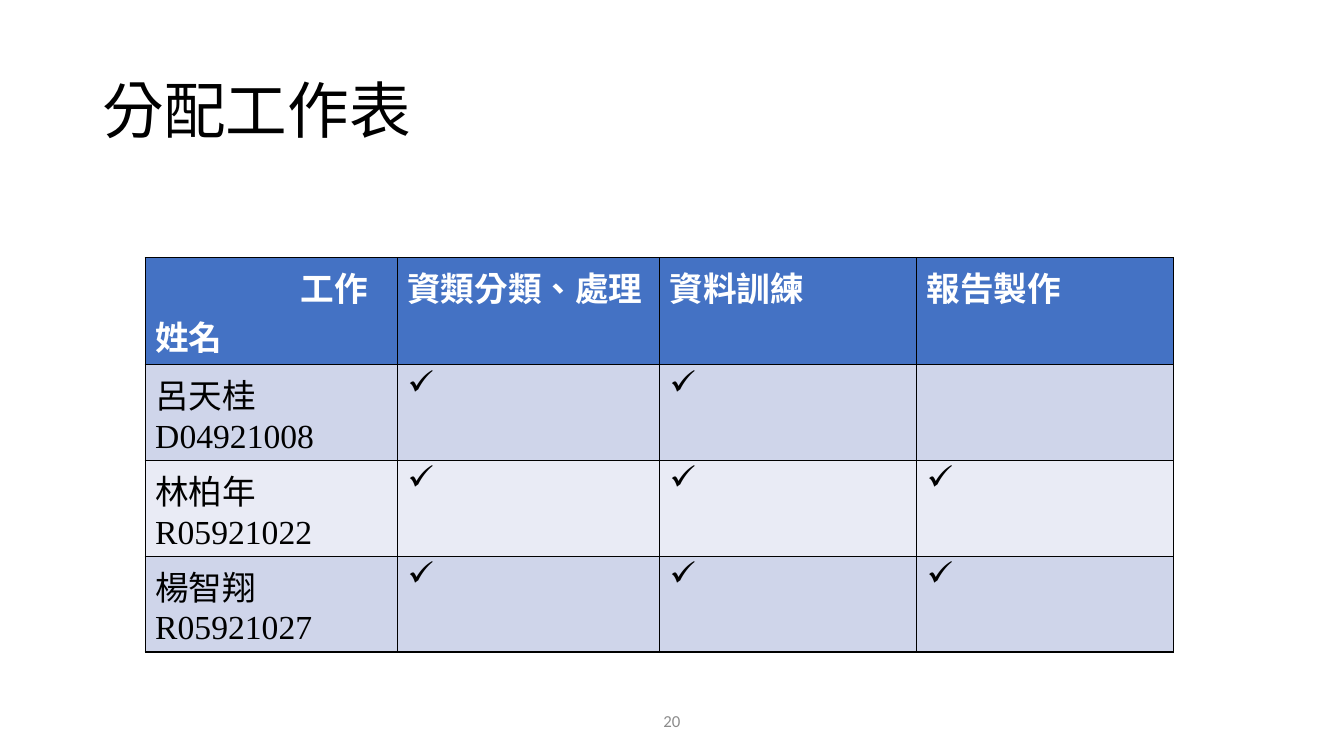
from lxml.etree import Element, SubElement
from pptx import Presentation
from pptx.dml.color import RGBColor
from pptx.enum.text import MSO_ANCHOR, PP_ALIGN
from pptx.oxml.ns import qn
from pptx.util import Inches, Pt

COLORS = {
    "ink": "000000",
    "page_number": "8C8C8C",
    "header_text": "FFFFFF",
    "header": "4472C4",
    "odd_row": "CFD5EA",
    "even_row": "E9EBF5",
}
CJK, LATIN, PLAIN = "Noto Sans CJK SC", "Times New Roman", "Calibri"
TASKS = ["資類分類、處理", "資料訓練", "報告製作"]
MEMBERS = [
    ("呂天桂D04921008", (True, True, False)),
    ("林柏年R05921022", (True, True, True)),
    ("楊智翔R05921027", (True, True, True)),
]


class SlideBuilder:
    """Draws on one slide; boxes are given as shares of the slide's size."""

    def __init__(self, width, height):
        self.deck = Presentation()
        self.deck.slide_width, self.deck.slide_height = Inches(width), Inches(height)
        self.slide = self.deck.slides.add_slide(self.deck.slide_layouts[6])

    def box(self, left, top, width, height):
        across, down = self.deck.slide_width, self.deck.slide_height
        return int(left * across), int(top * down), int(width * across), int(height * down)

    def style(self, paragraph, size, font, color, bold=False):
        face = paragraph.font
        face.size, face.name, face.bold = Pt(size), font, bold
        face.color.rgb = RGBColor.from_string(COLORS[color])
        face._element.set("lang", "zh-TW")
        east_asian = SubElement(face._element, qn("a:ea"))
        east_asian.set("typeface", CJK)

    def text(self, wording, share, size, font, color, align=PP_ALIGN.LEFT, spacing=1.0):
        frame = self.slide.shapes.add_textbox(*self.box(*share)).text_frame
        frame.word_wrap, frame.vertical_anchor = True, MSO_ANCHOR.MIDDLE
        paragraph = frame.paragraphs[0]
        paragraph.text, paragraph.alignment, paragraph.line_spacing = wording, align, spacing
        self.style(paragraph, size, font, color)

    def table(self, share, column_widths, row_heights):
        grid = self.slide.shapes.add_table(
            len(row_heights), len(column_widths), *self.box(*share)).table
        for column, width in zip(grid.columns, column_widths):
            column.width = Inches(width)
        for row, height in zip(grid.rows, row_heights):
            row.height = Inches(height)
        return grid

    def cell(self, cell, wording, fill, font=CJK, color="ink", bold=False):
        cell.text = wording
        for paragraph in cell.text_frame.paragraphs:
            self.style(paragraph, 24, font, color, bold)
        for side in ("a:lnL", "a:lnR", "a:lnT", "a:lnB"):
            border = SubElement(cell._tc.get_or_add_tcPr(), qn(side), w=str(Pt(1)))
            paint = SubElement(border, qn("a:solidFill"))
            SubElement(paint, qn("a:srgbClr"), val=COLORS["ink"])
        cell.fill.solid()
        cell.fill.fore_color.rgb = RGBColor.from_string(COLORS[fill])

    def tick(self, cell, fill):
        """Mark a cell with a check-mark bullet; Wingdings draws ü as the check."""
        self.cell(cell, " ", fill, LATIN)
        properties = cell.text_frame.paragraphs[0]._p.get_or_add_pPr()
        properties.set("marL", str(Inches(0.38)))
        properties.set("indent", str(-Inches(0.38)))
        properties.insert(0, Element(qn("a:buFont"), typeface="Wingdings", charset="2"))
        properties.insert(1, Element(qn("a:buChar"), char="ü"))


def main():
    builder = SlideBuilder(13.33, 7.5)
    builder.text("分配工作表", (0.069, 0.053, 0.863, 0.193), 44, CJK, "ink", spacing=0.9)
    builder.text("20", (0.33, 0.927, 0.34, 0.053), 12, PLAIN, "page_number", PP_ALIGN.CENTER)

    duties = builder.table((0.108, 0.341, 0.765, 0.523), (2.5, 2.6, 2.55, 2.55),
                           (1.06, *[0.95] * len(MEMBERS)))
    for column, heading in enumerate(["工作\n姓名", *TASKS]):
        builder.cell(duties.cell(0, column), heading, "header", CJK, "header_text", bold=True)
    task_label = duties.cell(0, 0).text_frame.paragraphs[0]
    task_label._p.get_or_add_pPr().set("marL", str(Inches(1.44)))

    for row, (member, assigned) in enumerate(MEMBERS, start=1):
        fill = "odd_row" if row % 2 else "even_row"
        builder.cell(duties.cell(row, 0), member, fill, LATIN)
        for column, has_task in enumerate(assigned, start=1):
            if has_task:
                builder.tick(duties.cell(row, column), fill)
            else:
                builder.cell(duties.cell(row, column), "", fill)

    builder.deck.save("out.pptx")


if __name__ == "__main__":
    main()
